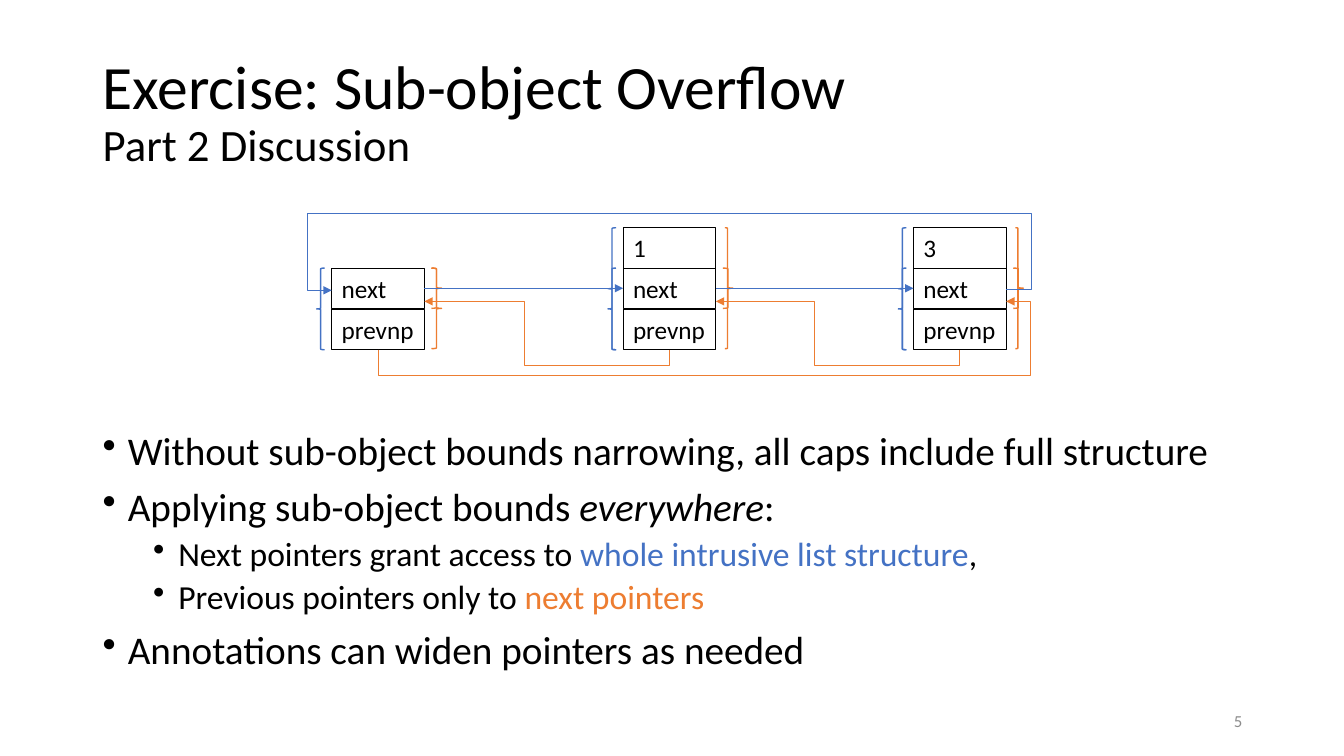
"""Build the slide on sub-object overflow in a linked list."""
from dataclasses import dataclass

from lxml import etree
from pptx import Presentation
from pptx import util as u
from pptx.dml.color import RGBColor
from pptx.enum import shapes, text
from pptx.oxml.ns import qn


@dataclass(frozen=True)
class Theme:
    """Colours, font and type sizes of the slide."""
    font: str = "Calibri"
    black: str = "000000"
    blue: str = "4472C4"
    orange: str = "ED7D31"
    gray: str = "8C8C8C"
    title: int = 44
    subtitle: int = 32
    levels: tuple = (28, 24)
    label: int = 18
    number: int = 12


THEME = Theme()
NODES = ((3.29, ""), (6.18, "1"), (9.06, "3"))
ROW_TOPS = (2.26, 2.66, 3.07)
ROW_HEIGHT = 0.4
NODE_WIDTH = 0.92
NODE_BOTTOM = 3.47
PREVIOUS_TARGET_Y = 2.99
BULLETS = (
    (0, (("Without sub-object bounds narrowing, all caps include full structure", {}),)),
    (0, (("Applying sub-object bounds ", {}), ("everywhere", {"italic": True}), (":", {}))),
    (1, (("Next pointers grant access to ", {}),
         ("whole intrusive list structure", {"color": THEME.blue}), (",", {}))),
    (1, (("Previous pointers only to ", {}), ("next pointers", {"color": THEME.orange}))),
    (0, (("Annotations can widen pointers as needed", {}),)),
)


def style_font(font, size, color=THEME.black):
    """Set typeface, size and colour."""
    font.name = THEME.font
    font.size = u.Pt(size)
    font.color.rgb = RGBColor.from_string(color)


def style_line(line, color, width):
    """Set line colour and width."""
    line.color.rgb = RGBColor.from_string(color)
    line.width = u.Pt(width)


def add_text_box(slide, left, top, width, height, anchor):
    """Add a wrapping text box and return its text frame."""
    box = slide.shapes.add_textbox(*map(u.Inches, (left, top, width, height)))
    frame = box.text_frame
    frame.word_wrap = True
    frame.vertical_anchor = anchor
    return frame


def add_title(slide):
    """Add the title and its smaller second line."""
    frame = add_text_box(slide, 0.92, 0.4, 11.5, 1.45, text.MSO_ANCHOR.MIDDLE)
    paragraph = frame.paragraphs[0]
    paragraph.line_spacing = 0.9
    heading = paragraph.add_run()
    heading.text = "Exercise: Sub-object Overflow"
    style_font(heading.font, THEME.title)
    paragraph.add_line_break()
    subtitle = paragraph.add_run()
    subtitle.text = "Part 2 Discussion"
    style_font(subtitle.font, THEME.subtitle)


def add_bullets(slide):
    """Add the two-level bullet list."""
    frame = add_text_box(slide, 0.92, 4.23, 11.5, 2.53, text.MSO_ANCHOR.TOP)
    for index, (level, runs) in enumerate(BULLETS):
        paragraph = frame.add_paragraph() if index else frame.paragraphs[0]
        paragraph.level = level
        paragraph.line_spacing = 0.9
        paragraph.space_before = u.Pt(5 if level else 10)
        style_font(paragraph.font, THEME.levels[level])
        properties = paragraph._p.get_or_add_pPr()
        properties.set("marL", str(u.Inches(0.25 + 0.5 * level)))
        properties.set("indent", str(u.Inches(-0.25)))
        bullet = etree.Element(qn("a:buChar"), char="•")
        properties.find(qn("a:defRPr")).addprevious(bullet)
        for wording, look in runs:
            run = paragraph.add_run()
            run.text = wording
            style_font(run.font, THEME.levels[level], look.get("color", THEME.black))
            run.font.italic = look.get("italic")


def add_field(slide, label, left, top):
    """Add one labelled field of a list node."""
    box = slide.shapes.add_shape(
        shapes.MSO_SHAPE.RECTANGLE,
        *map(u.Inches, (left, top, NODE_WIDTH, ROW_HEIGHT)))
    box.shadow.inherit = False
    box.fill.background()
    style_line(box.line, THEME.black, 0.75)
    frame = box.text_frame
    frame.word_wrap = label != "prevnp"
    frame.vertical_anchor = text.MSO_ANCHOR.TOP
    paragraph = frame.paragraphs[0]
    paragraph.text = label
    paragraph.alignment = text.PP_ALIGN.LEFT
    style_font(paragraph.runs[0].font, THEME.label)
    return box


def add_brace(slide, kind, left, top, width, height, color):
    """Add a brace that marks the bounds of a pointer."""
    brace = slide.shapes.add_shape(kind, *map(u.Inches, (left, top, width, height)))
    brace.shadow.inherit = False
    brace.fill.background()
    style_line(brace.line, color, 1)


def add_arrow(slide, kind, begin, end, color):
    """Add a thin connector with an arrowhead at its end."""
    arrow = slide.shapes.add_connector(kind, *map(u.Inches, (*begin, *end)))
    style_line(arrow.line, color, 0.5)
    etree.SubElement(arrow.line._get_or_add_ln(), qn("a:tailEnd"), type="triangle")
    etree.SubElement(arrow._element.spPr, qn("a:effectLst"))
    return arrow


def add_bent_arrow(slide, begin, end, lanes, color, upright=False):
    """Add an elbow arrow through alternating lanes, leaving downwards if upright."""
    (x1, y1), (x2, y2) = begin, end
    if upright:
        x, y, across, down = (x1 + x2) / 2, (y1 + y2) / 2, (y1 - y2) / 2, (x2 - x1) / 2
        begin, end = (x + across, y + down), (x - across, y - down)
    arrow = add_arrow(slide, shapes.MSO_CONNECTOR.ELBOW, begin, end, color)
    arrow.rotation = 90 if upright else 0
    geometry = arrow._element.spPr.find(qn("a:prstGeom"))
    geometry.set("prst", f"bentConnector{len(lanes) + 2}")
    guides = geometry.find(qn("a:avLst"))
    for index, lane in enumerate(lanes):
        vertical = (index % 2 == 0) == upright
        start, span = (y1, y2 - y1) if vertical else (x1, x2 - x1)
        ratio = round((lane - start) / span * 100000)
        etree.SubElement(guides, qn("a:gd"), name=f"adj{index + 1}", fmla=f"val {ratio}")


def add_nodes(slide):
    """Add the list nodes with their braces and return the next fields."""
    next_fields = []
    left_brace, right_brace = shapes.MSO_SHAPE.LEFT_BRACE, shapes.MSO_SHAPE.RIGHT_BRACE
    full_top, next_top, _ = ROW_TOPS
    for left, value in NODES:
        fields = [add_field(slide, label, left, top)
                  for label, top in zip((value, "next", "prevnp"), ROW_TOPS) if label]
        next_fields.append(fields[-2])
        add_brace(slide, left_brace, left - 0.15, next_top, 0.08, 0.81, THEME.blue)
        add_brace(slide, right_brace, left + 0.99, next_top, 0.1, ROW_HEIGHT, THEME.orange)
        if value:
            add_brace(slide, left_brace, left - 0.15, full_top, 0.08, 1.21, THEME.blue)
            add_brace(slide, right_brace, left + 1.01, full_top, 0.05, 1.2, THEME.orange)
        else:
            add_brace(slide, right_brace, left + 0.99, next_top, 0.1, 0.8, THEME.orange)
    return next_fields


def add_pointers(slide, next_fields):
    """Link the nodes forwards in blue and backwards in orange."""
    for source, target in zip(next_fields, next_fields[1:]):
        arrow = add_arrow(slide, shapes.MSO_CONNECTOR.STRAIGHT, (0, 0), (1, 1), THEME.blue)
        arrow.begin_connect(source, 3)
        arrow.end_connect(target, 1)
    lefts = [left for left, _ in NODES]
    for index, lanes in enumerate(((3.72, 10.22), (3.63, 5.2), (3.62, 8.08))):
        begin = (lefts[index] + NODE_WIDTH / 2, NODE_BOTTOM)
        end = (lefts[index - 1] + NODE_WIDTH, PREVIOUS_TARGET_Y)
        add_bent_arrow(slide, begin, end, lanes, THEME.orange, upright=True)
    add_bent_arrow(slide, (lefts[-1] + NODE_WIDTH, 2.87), (lefts[0], 2.88),
                   (10.23, 2.1, 3.05), THEME.blue)


def add_slide_number(slide):
    """Add the slide number at the lower right."""
    frame = add_text_box(slide, 9.42, 6.95, 3, 0.4, text.MSO_ANCHOR.MIDDLE)
    paragraph = frame.paragraphs[0]
    paragraph.text = "5"
    paragraph.alignment = text.PP_ALIGN.RIGHT
    style_font(paragraph.font, THEME.number, THEME.gray)


def main():
    """Build and save the presentation."""
    presentation = Presentation()
    presentation.slide_width, presentation.slide_height = u.Inches(13.33), u.Inches(7.5)
    slide = presentation.slides.add_slide(presentation.slide_layouts[6])
    add_title(slide)
    add_bullets(slide)
    add_pointers(slide, add_nodes(slide))
    add_slide_number(slide)
    presentation.save("out.pptx")


if __name__ == "__main__":
    main()
